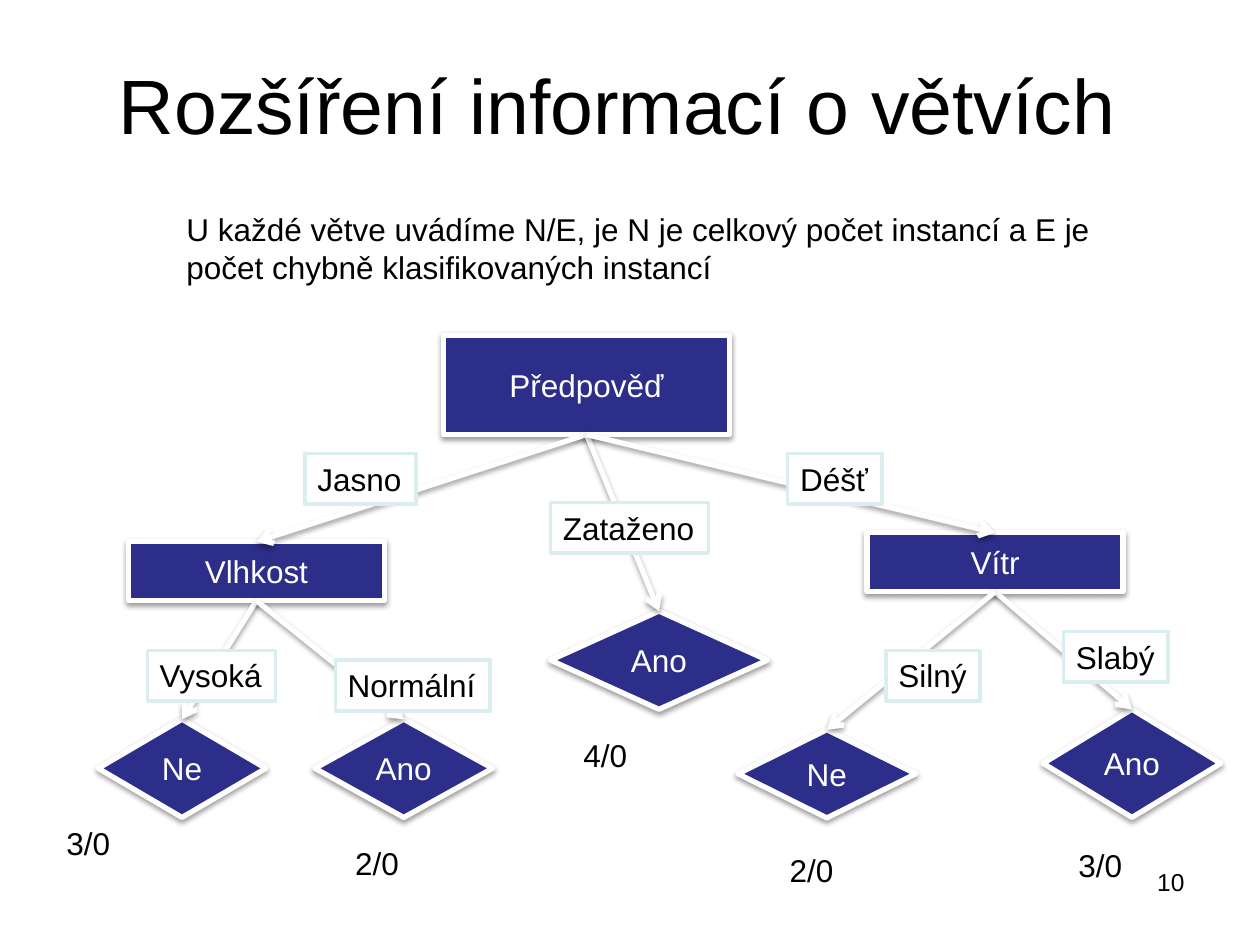
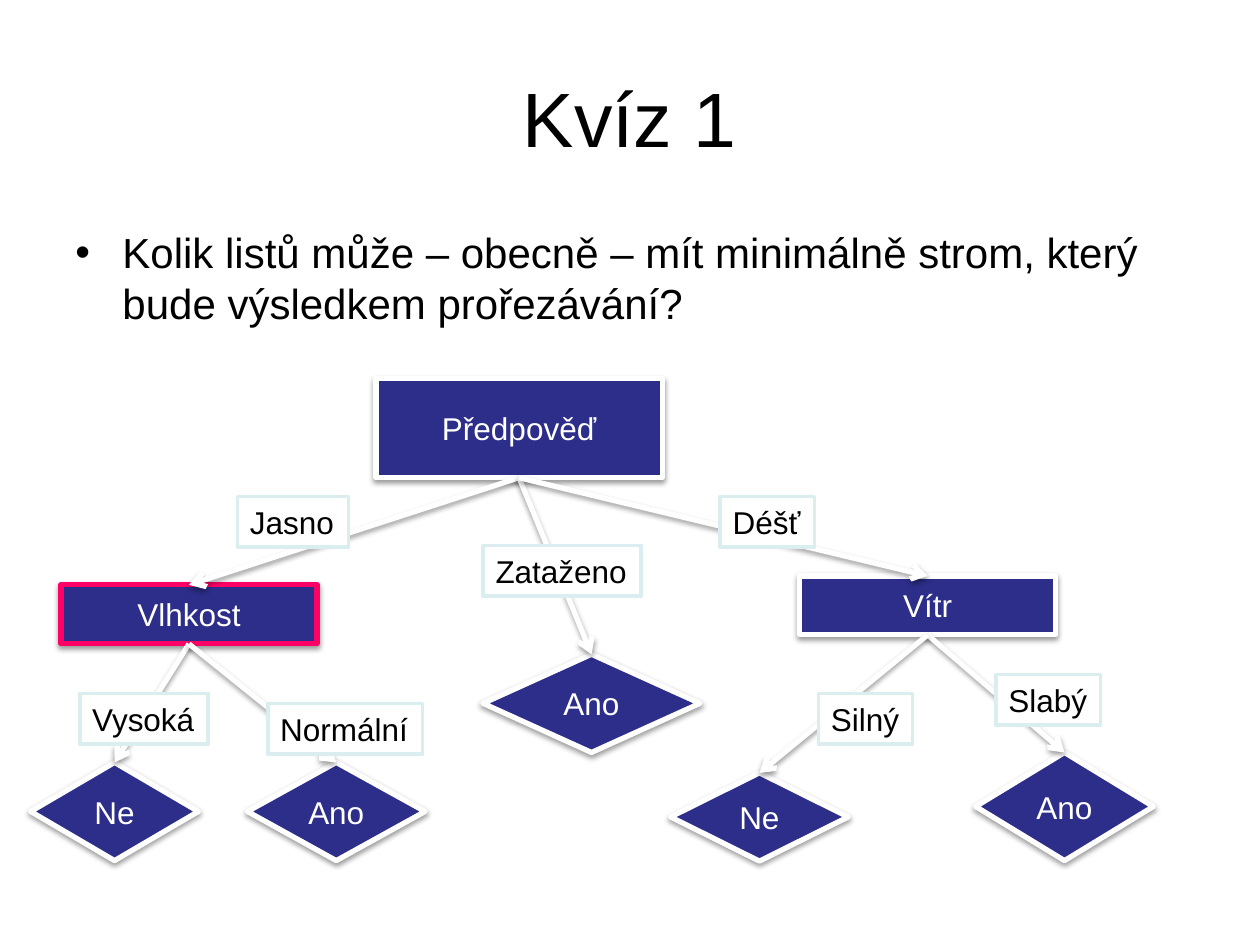
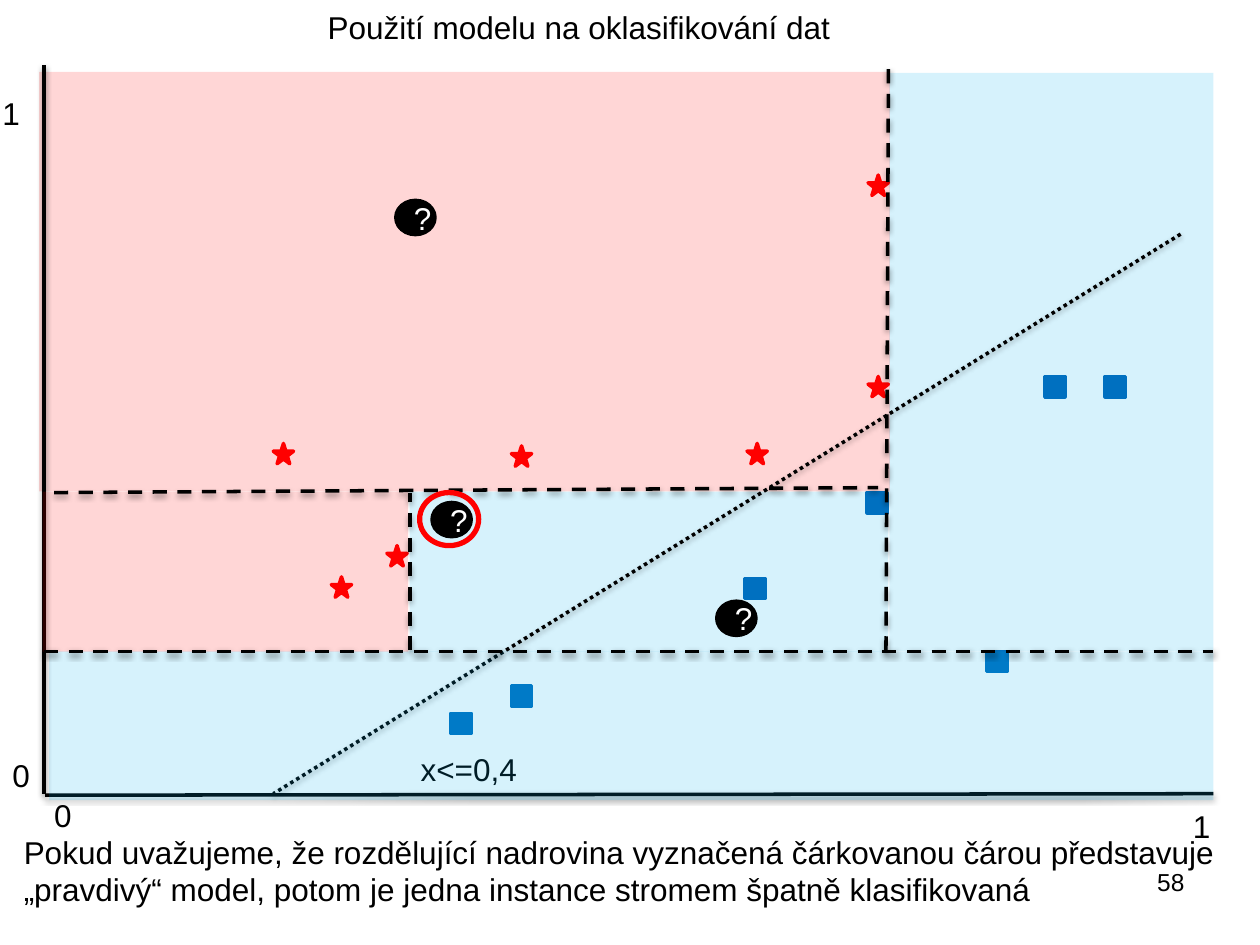
"""Build three slides on decision trees: branch counts, a quiz and a classified plane."""
from lxml import etree
from pptx import Presentation
from pptx.dml.color import RGBColor
from pptx.enum.dml import MSO_LINE
from pptx.enum.shapes import MSO_CONNECTOR, MSO_SHAPE
from pptx.enum.text import MSO_ANCHOR, MSO_AUTO_SIZE, PP_ALIGN
from pptx.oxml.ns import qn
from pptx.util import Cm, Pt

RECT, DIAMOND = MSO_SHAPE.RECTANGLE, MSO_SHAPE.DIAMOND
OVAL, STAR = MSO_SHAPE.OVAL, MSO_SHAPE.STAR_5_POINT
STRAIGHT = MSO_CONNECTOR.STRAIGHT
DASH, DOTS = MSO_LINE.DASH, MSO_LINE.ROUND_DOT
LEFT, CENTER, RIGHT = PP_ALIGN.LEFT, PP_ALIGN.CENTER, PP_ALIGN.RIGHT
TOP, MIDDLE = MSO_ANCHOR.TOP, MSO_ANCHOR.MIDDLE
FIXED = MSO_AUTO_SIZE.NONE

BLACK = RGBColor(0x00, 0x00, 0x00)
WHITE = RGBColor(0xFF, 0xFF, 0xFF)
NAVY = RGBColor(0x2D, 0x2D, 0x8A)
MINT = RGBColor(0xDA, 0xED, 0xEF)
PINK = RGBColor(0xFF, 0x00, 0x66)
RED = RGBColor(0xFF, 0x00, 0x00)
BLUE = RGBColor(0x00, 0x70, 0xC0)
SKY = RGBColor(0x00, 0xB0, 0xF0)

FONT = "Arial"
ROW = 1.02
MARK = 0.41

NODES = {
    "root": ("Předpověď", RECT, 8.94, 6.76, 5.77, 2),
    "damp": ("Vlhkost", RECT, 2.59, 10.92, 5.16, 1.19),
    "cloud": ("Ano", DIAMOND, 11.1, 12.32, 4.37, 1.98),
    "wind": ("Vítr", RECT, 17.48, 10.74, 5.16, 1.19),
    "normal": ("Ano", DIAMOND, 6.35, 14.5, 3.58, 1.98),
    "high": ("Ne", DIAMOND, 1.98, 14.5, 3.38, 1.98),
    "weak": ("Ano", DIAMOND, 21.03, 14.3, 3.58, 2.18),
    "strong": ("Ne", DIAMOND, 14.88, 14.71, 3.58, 1.78),
}
EDGES = [
    ("root", "damp", "Jasno", 6.15, 9.14, 2.24),
    ("root", "cloud", "Zataženo", 11.1, 10.13, 3.18),
    ("root", "wind", "Déšť", 15.88, 9.14, 1.9),
    ("damp", "high", "Vysoká", 2.97, 13.11, 2.59),
    ("damp", "normal", "Normální", 6.76, 13.31, 3.12),
    ("wind", "weak", "Slabý", 21.44, 12.73, 2.11),
    ("wind", "strong", "Silný", 17.86, 13.11, 1.9),
]
COUNTS = [("3/0", 1.09, 16.48), ("2/0", 6.91, 16.89), ("4/0", 11.51, 14.71),
          ("2/0", 15.67, 17.04), ("3/0", 21.49, 16.94)]

BACK = [(RED, 0.79, 1.45, 17.15, 8.46), (SKY, 8.26, 9.91, 9.65, 3.23),
        (SKY, 17.93, 1.47, 6.53, 11.66)]
FRONT = [(SKY, 0.99, 13.13, 23.47, 3), (RED, 0.86, 9.91, 7.37, 3.23)]
AXES = [(0.89, 1.32, 0.89, 16), (24.46, 16, 0.91, 16.03)]
SPLITS = [(8.26, 13.11, 8.26, 9.93), (17.86, 13.11, 17.91, 1.32),
          (1.09, 9.93, 17.7, 9.83), (0.89, 13.13, 24.46, 13.13)]
TICKS = [("0", 0.84, 15.93, 0.86), ("1", 23.8, 16.15, 0.86), ("1", -0.2, 1.78, 0.86),
         ("0", 0, 15.11, 2.01), ("x<=0,4", 8.23, 14.99, 3.02)]
ASKED = [(8.71, 10.13), (7.98, 4.04), (14.45, 12.12)]
STARS = [(5.51, 8.94), (10.31, 8.99), (6.68, 11.63), (7.8, 11), (17.5, 7.59),
         (15.06, 8.94), (17.5, 3.53)]
BLOCKS = [(10.31, 13.82), (15.01, 11.66), (17.48, 9.93), (19.89, 13.13),
          (9.09, 14.38), (21.06, 7.59), (22.28, 7.59)]


class Deck:
    """Hold the style and the current slide."""

    def __init__(self):
        self.prs = Presentation()
        self.prs.slide_width, self.prs.slide_height = Cm(25.4), Cm(19.05)

    def page(self, title, x, y, w, h, size=44, align=CENTER):
        """Start a slide and set its title."""
        self.slide = self.prs.slides.add_slide(self.prs.slide_layouts[5])
        box = self.slide.shapes.title
        box.left, box.top, box.width, box.height = Cm(x), Cm(y), Cm(w), Cm(h)
        self.letter(box, title, size, BLACK, align, MIDDLE)

    def letter(self, shape, text, size=18, color=BLACK, align=LEFT, anchor=TOP, wrap=True):
        """Put one styled paragraph in a shape."""
        frame = shape.text_frame
        frame.auto_size, frame.word_wrap = FIXED, wrap
        frame.vertical_anchor = anchor
        par = frame.paragraphs[0]
        par.text, par.alignment = text, align
        par.font.name, par.font.size = FONT, Pt(size)
        par.font.color.rgb = color

    def text(self, text, x, y, w, h=ROW, size=18, align=LEFT):
        """Add a text box."""
        box = self.slide.shapes.add_textbox(Cm(x), Cm(y), Cm(w), Cm(h))
        self.letter(box, text, size, align=align)
        return box

    def bullet(self, text, x, y, w, h):
        """Add a text box with one bulleted paragraph."""
        box = self.slide.shapes.add_textbox(Cm(x), Cm(y), Cm(w), Cm(h))
        props = box.text_frame.paragraphs[0]._p.get_or_add_pPr()
        props.set("marL", str(Cm(0.95)))
        props.set("indent", str(-Cm(0.95)))
        etree.SubElement(props, qn("a:buFont"), typeface=FONT)
        etree.SubElement(props, qn("a:buChar"), char="•")
        self.letter(box, text, 24)

    def number(self, text):
        """Add the page number."""
        self.text(text, 18.21, 17.35, 5.92, 1.32, 14, RIGHT)

    def shape(self, kind, x, y, w, h, fill=None, line=None, width=2):
        """Add a preset shape without shadow."""
        item = self.slide.shapes.add_shape(kind, Cm(x), Cm(y), Cm(w), Cm(h))
        item.shadow.inherit = False
        if fill is None:
            item.fill.background()
        else:
            item.fill.solid()
            item.fill.fore_color.rgb = fill
        if line is None:
            item.line.fill.background()
        else:
            item.line.color.rgb, item.line.width = line, Pt(width)
        return item

    def shade(self, effects):
        """Add the soft shadow to an effect list."""
        cast = etree.SubElement(effects, qn("a:outerShdw"), blurRad="40000", dist="20000",
                                dir="5400000", rotWithShape="0")
        tone = etree.SubElement(cast, qn("a:srgbClr"), val=str(BLACK))
        etree.SubElement(tone, qn("a:alpha"), val="38000")

    def node(self, text, kind, x, y, w, h, line=WHITE):
        """Add a tree node."""
        item = self.shape(kind, x, y, w, h, NAVY, line, 3)
        self.shade(item._element.spPr.find(qn("a:effectLst")))
        self.letter(item, text, color=WHITE, align=CENTER, anchor=MIDDLE)
        return item

    def label(self, text, x, y, w):
        """Add a branch label."""
        item = self.shape(RECT, x, y, w, ROW, WHITE, MINT)
        self.letter(item, text, wrap=False)

    def line(self, x1, y1, x2, y2, color=BLACK, width=2, dash=None):
        """Add a shadowed straight line."""
        item = self.slide.shapes.add_connector(STRAIGHT, Cm(x1), Cm(y1), Cm(x2), Cm(y2))
        item.line.color.rgb, item.line.width = color, Pt(width)
        if dash:
            item.line.dash_style = dash
        self.shade(etree.SubElement(item._element.spPr, qn("a:effectLst")))
        return item

    def arrow(self, start, end):
        """Join the foot of one node to the top of another."""
        item = self.line(0, 0, 1, 1, WHITE, 3)
        item.begin_connect(start, 2)
        item.end_connect(end, 0)
        stroke = item._element.spPr.find(qn("a:ln"))
        etree.SubElement(stroke, qn("a:tailEnd"), type="arrow")

    def zone(self, color, x, y, w, h):
        """Add a pale see-through area."""
        item = self.shape(RECT, x, y, w, h, color)
        tone = item._element.spPr.find(".//" + qn("a:srgbClr"))
        etree.SubElement(tone, qn("a:alpha"), val="16000")

    def tree(self, dx=0, dy=0, marked=None):
        """Draw the weather tree, shifted, with one node outlined."""
        nodes = {}
        for key, (text, kind, x, y, w, h) in NODES.items():
            line = PINK if key == marked else WHITE
            nodes[key] = self.node(text, kind, x + dx, y + dy, w, h, line)
        for start, end, *_ in EDGES:
            self.arrow(nodes[start], nodes[end])
        for _, _, text, x, y, w in EDGES:
            self.label(text, x + dx, y + dy, w)


def branches(deck):
    """Build the slide with counts at the leaves."""
    deck.page("Rozšíření informací o větvích", 1.02, 0.5, 22.86, 3.18)
    deck.tree()
    for text, x, y in COUNTS:
        deck.text(text, x, y, 3.18)
    deck.text("U každé větve uvádíme N/E, je N je celkový počet instancí a E je "
              "počet chybně klasifikovaných instancí", 3.51, 4.11, 18.8, 1.8)
    deck.number("10")


def quiz(deck):
    """Build the quiz slide."""
    deck.page("Kvíz 1", 1.27, 0.76, 22.86, 3.18)
    deck.bullet("Kolik listů může – obecně – mít minimálně strom, který bude "
                "výsledkem prořezávání?", 1.27, 4.45, 22.86, 12.57)
    deck.tree(-1.36, 0.87, "damp")


def plane(deck):
    """Build the slide with the divided plane."""
    deck.page("Použití modelu na oklasifikování dat", 6.35, 0.03, 18.9, ROW, 18, LEFT)
    for area in BACK:
        deck.zone(*area)
    for ends in AXES:
        deck.line(*ends)
    for tick in TICKS:
        deck.text(*tick)
    for x, y in ASKED:
        dot = deck.shape(OVAL, x, y, 0.79, 0.69, BLACK, BLACK)
        deck.letter(dot, "?", color=WHITE, align=CENTER, anchor=MIDDLE)
    for kind, color, spots in ((STAR, RED, STARS), (RECT, BLUE, BLOCKS)):
        for x, y in spots:
            deck.shape(kind, x, y, MARK, MARK, color, color)
    deck.line(23.8, 4.72, 5.51, 16, dash=DOTS)
    for area in FRONT:
        deck.zone(*area)
    deck.text("Pokud uvažujeme, že rozdělující nadrovina vyznačená čárkovanou čárou "
              "představuje „pravdivý“ model, potom je jedna instance stromem špatně "
              "klasifikovaná", 0.23, 16.66, 24.87, 1.8)
    for ends in SPLITS:
        deck.line(*ends, dash=DASH)
    deck.shape(OVAL, 8.46, 9.93, 1.19, 1.07, line=RED, width=3)
    deck.number("58")


def main():
    """Build and save the deck."""
    deck = Deck()
    for build in (branches, quiz, plane):
        build(deck)
    deck.prs.save("out.pptx")


if __name__ == "__main__":
    main()
